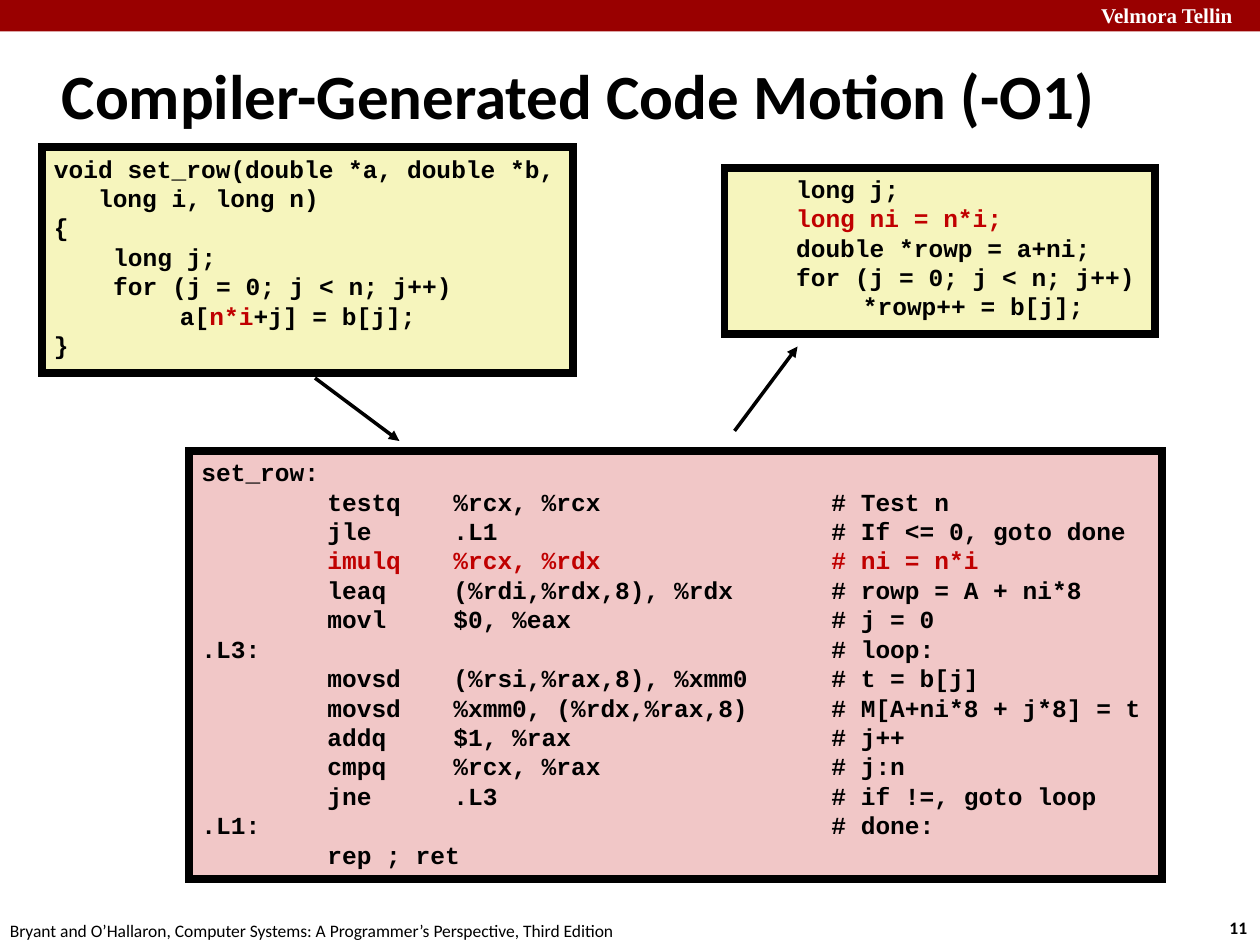
from lxml import etree
from pptx import Presentation
from pptx.dml.color import RGBColor
from pptx.enum.shapes import MSO_CONNECTOR, MSO_SHAPE
from pptx.enum.text import MSO_ANCHOR, MSO_AUTO_SIZE, PP_ALIGN
from pptx.oxml.ns import qn
from pptx.util import Inches, Pt

COLORS = {
    "banner": "990000",
    "source": "F6F5BD",
    "assembly": "F1C7C7",
    "ink": "000000",
    "moved": "C00000",
    "white": "FFFFFF",
}
CODE = {"name": "Courier New", "size": Pt(14), "bold": True}
TITLE = {"name": "Calibri", "size": Pt(36), "bold": True}
BRAND = {"name": "Times New Roman", "size": Pt(12), "bold": True}
FOOTER = {"name": "Calibri", "size": Pt(10), "bold": False}
NUMBER = {**FOOTER, "bold": True}

CONTINUATION = 0.35
STATEMENT = 0.47
BODY = 1
TAB_STOPS = (1, 2, 5)

ORIGINAL_C = [
    (0, [("void set_row(double *a, double *b,", "ink")]),
    (CONTINUATION, [("long i, long n)", "ink")]),
    (0, [("{", "ink")]),
    (STATEMENT, [("long j;", "ink")]),
    (STATEMENT, [("for (j = 0; j < n; j++)", "ink")]),
    (BODY, [("a[", "ink"), ("n*i", "moved"), ("+j] = b[j];", "ink")]),
    (0, [("}", "ink")]),
]
OPTIMIZED_C = [
    (STATEMENT, [("long j;", "ink")]),
    (STATEMENT, [("long ni = n*i;", "moved")]),
    (STATEMENT, [("double *rowp = a+ni;", "ink")]),
    (STATEMENT, [("for (j = 0; j < n; j++)", "ink")]),
    (BODY, [("*rowp++ = b[j];", "ink")]),
]
INSTRUCTIONS = [
    ("set_row:",),
    ("", "testq", "%rcx, %rcx", "# Test n"),
    ("", "jle", ".L1", "# If <= 0, goto done"),
    ("", "imulq", "%rcx, %rdx", "# ni = n*i"),
    ("", "leaq", "(%rdi,%rdx,8), %rdx", "# rowp = A + ni*8"),
    ("", "movl", "$0, %eax", "# j = 0"),
    (".L3:", "", "", "# loop:"),
    ("", "movsd", "(%rsi,%rax,8), %xmm0", "# t = b[j]"),
    ("", "movsd", "%xmm0, (%rdx,%rax,8)", "# M[A+ni*8 + j*8] = t"),
    ("", "addq", "$1, %rax", "# j++"),
    ("", "cmpq", "%rcx, %rax", "# j:n"),
    ("", "jne", ".L3", "# if !=, goto loop"),
    (".L1:", "", "", "# done:"),
    ("", "rep ; ret"),
]
ASSEMBLY = [
    (0, [("\t".join(columns), "moved" if "imulq" in columns else "ink")])
    for columns in INSTRUCTIONS
]


def rgb(color):
    return RGBColor.from_string(COLORS[color])


def add_run(paragraph, text, style, color):
    run = paragraph.add_run()
    run.text = text
    for attribute, value in style.items():
        setattr(run.font, attribute, value)
    run.font.color.rgb = rgb(color)


def add_panel(slide, box, fill):
    panel = slide.shapes.add_shape(MSO_SHAPE.RECTANGLE, *map(Inches, box))
    panel.shadow.inherit = False
    panel.fill.solid()
    panel.fill.fore_color.rgb = rgb(fill)
    panel.line.fill.background()
    return panel


def add_label(slide, box, text, style, color):
    label = slide.shapes.add_textbox(*map(Inches, box))
    label.text_frame.word_wrap = True
    add_run(label.text_frame.paragraphs[0], text, style, color)


def add_banner(slide, box):
    left, top, width, height = box
    add_panel(slide, box, "banner")
    add_label(slide, (left + width - 1.36, top - 0.03, 1.43, 0.3),
              "Velmora Tellin", BRAND, "white")


def add_title(slide, box):
    title = slide.shapes.title
    title.left, title.top, title.width, title.height = map(Inches, box)
    frame = title.text_frame
    frame.auto_size = MSO_AUTO_SIZE.NONE
    frame.vertical_anchor = MSO_ANCHOR.MIDDLE
    frame.paragraphs[0].alignment = PP_ALIGN.LEFT
    add_run(frame.paragraphs[0], "Compiler-Generated Code Motion (-O1)", TITLE, "ink")


def add_code(slide, box, fill, lines, tab_stops=()):
    panel = add_panel(slide, box, fill)
    panel.line.color.rgb = rgb("ink")
    panel.line.width = Pt(4.5)
    etree.SubElement(panel.line._get_or_add_ln(), qn("a:miter"), lim="800000")
    frame = panel.text_frame
    frame.word_wrap = False
    frame.vertical_anchor = MSO_ANCHOR.TOP
    for index, (indent, pieces) in enumerate(lines):
        paragraph = frame.add_paragraph() if index else frame.paragraphs[0]
        paragraph.alignment = PP_ALIGN.LEFT
        properties = paragraph._p.get_or_add_pPr()
        properties.set("marL", str(Inches(indent)))
        if tab_stops:
            tabs = etree.SubElement(properties, qn("a:tabLst"))
            for stop in tab_stops:
                etree.SubElement(tabs, qn("a:tab"), pos=str(Inches(stop)), algn="l")
        for text, color in pieces:
            add_run(paragraph, text, CODE, color)


def add_arrow(slide, start, end):
    arrow = slide.shapes.add_connector(MSO_CONNECTOR.STRAIGHT, *map(Inches, start + end))
    arrow.line.color.rgb = rgb("ink")
    arrow.line.width = Pt(2)
    etree.SubElement(arrow.line._get_or_add_ln(), qn("a:tailEnd"), type="triangle")
    etree.SubElement(arrow._element.spPr, qn("a:effectLst"))


def add_footer(slide, box):
    left, top, width, height = box
    add_label(slide, (left, top, 5.2, height),
              "Bryant and O’Hallaron, Computer Systems: "
              "A Programmer’s Perspective, Third Edition", FOOTER, "ink")
    add_label(slide, (left + width - 0.37, top - 0.02, 0.37, height), "11", NUMBER, "ink")


def main():
    presentation = Presentation()
    presentation.slide_width = Inches(10)
    presentation.slide_height = Inches(7.5)
    slide = presentation.slides.add_slide(presentation.slide_layouts[5])
    add_banner(slide, (0, 0, 10, 0.25))
    add_footer(slide, (-0.02, 7.25, 10.05, 0.27))
    add_title(slide, (0.39, 0.33, 8.83, 0.83))
    add_code(slide, (1.5, 3.58, 7.72, 3.4), "assembly", ASSEMBLY, TAB_STOPS)
    add_arrow(slide, (2.5, 3), (3.17, 3.5))
    add_arrow(slide, (5.83, 3.42), (6.33, 2.75))
    add_code(slide, (5.75, 1.33, 3.42, 1.32), "source", OPTIMIZED_C)
    add_code(slide, (0.33, 1.17, 4.22, 1.79), "source", ORIGINAL_C)
    presentation.save("out.pptx")


if __name__ == "__main__":
    main()
